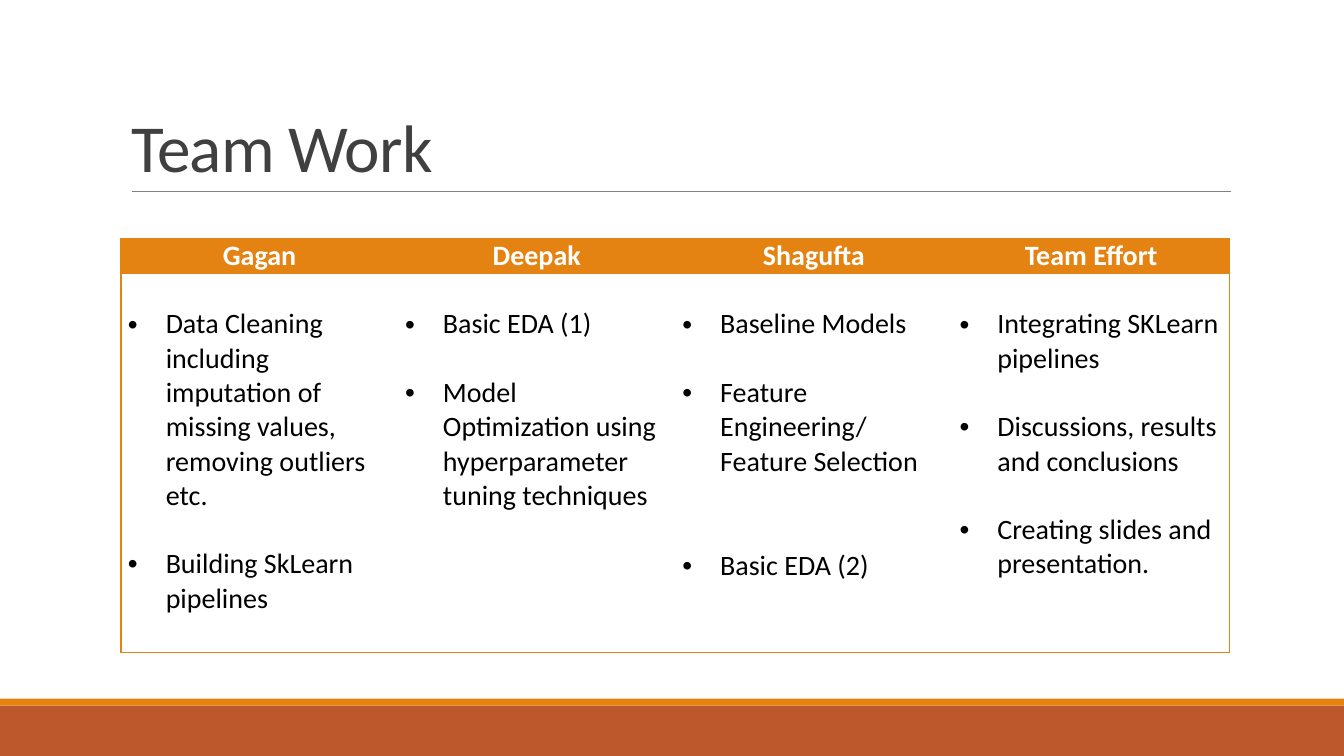
from pptx import Presentation
from pptx.dml.color import RGBColor
from pptx.enum.shapes import MSO_CONNECTOR as CONN, MSO_SHAPE as SHAPE
from pptx.enum.text import MSO_ANCHOR as ANCHOR, MSO_AUTO_SIZE as AUTO, PP_ALIGN as ALIGN
from pptx.oxml.ns import qn
from pptx.util import Pt
from lxml.etree import SubElement

FONT = "Calibri"
ORANGE, RUST, GRAY, DARK = "E48312", "BD582C", "808080", "404040"
WIDTH, HEIGHT = 960, 540
LINE = 24.4  # height of one 20 pt text line

# Each task: wording and the space above it
TEAM = {
    "Gagan": [
        ("Data Cleaning including imputation of missing values, removing outliers etc.", 0),
        ("Building SkLearn pipelines", LINE)],
    "Deepak": [
        ("Basic EDA (1)", 0),
        ("Model Optimization using hyperparameter tuning techniques", LINE)],
    "Shagufta": [
        ("Baseline Models", 0),
        ("Feature Engineering/ Feature Selection", LINE),
        ("Basic EDA (2)", 50.4)],
    "Team Effort": [
        ("Integrating SKLearn pipelines", 0),
        ("Discussions, results and conclusions", LINE),
        ("Creating slides and presentation.", LINE)],
}


def rgb(value):
    return RGBColor.from_string(value)


def add_run(p, text, size, color, bold=False):
    r = p.add_run()
    r.text = text
    r.font.name, r.font.size, r.font.bold = FONT, Pt(size), bold
    r.font.color.rgb = rgb(color)
    return r


def add_bullet(p, indent):
    pPr = p._p.get_or_add_pPr()
    pPr.set("marL", str(Pt(indent)))
    pPr.set("indent", str(-Pt(indent)))
    SubElement(pPr, qn("a:buFont"), typeface="Arial")
    SubElement(pPr, qn("a:buChar"), char="•")


def set_borders(cell, sides):
    tcPr = cell._tc.get_or_add_tcPr()
    for side in "LRTB":
        ln = SubElement(tcPr, qn("a:ln" + side), w=str(Pt(1)))
        if side in sides:
            fill = SubElement(ln, qn("a:solidFill"))
            SubElement(fill, qn("a:srgbClr"), val=ORANGE)
        else:
            SubElement(ln, qn("a:noFill"))


def add_footer(s, x, y, w, h):
    stripe = 5
    for color, top, height in ((RUST, y + stripe, h - stripe), (ORANGE, y, stripe)):
        bar = s.shapes.add_shape(SHAPE.RECTANGLE, Pt(x), Pt(top), Pt(w), Pt(height))
        bar.shadow.inherit = False
        bar.fill.solid()
        bar.fill.fore_color.rgb = rgb(color)
        bar.line.fill.background()


def add_title(s, x, y, w, h):
    # Rule under the title
    rule = s.shapes.add_connector(CONN.STRAIGHT, Pt(x + 8), Pt(y + h), Pt(x + w + 1), Pt(y + h))
    rule.line.color.rgb = rgb(GRAY)
    rule.line.width = Pt(0.5)
    SubElement(rule._element.spPr, qn("a:effectLst"))

    # Title text
    title = s.shapes.title
    title.left, title.top, title.width, title.height = Pt(x), Pt(y), Pt(w), Pt(h)
    tf = title.text_frame
    tf.auto_size, tf.word_wrap, tf.vertical_anchor = AUTO.NONE, True, ANCHOR.BOTTOM
    p = tf.paragraphs[0]
    p.alignment, p.line_spacing = ALIGN.LEFT, 0.85
    r = add_run(p, "Team Work", 48, DARK)
    r.font._element.set("spc", "-50")


def add_team_table(s, x, y, w, h):
    table = s.shapes.add_table(2, len(TEAM), Pt(x), Pt(y), Pt(w), Pt(h)).table
    table.horz_banding = False
    table.rows[0].height, table.rows[1].height = Pt(LINE), Pt(h - LINE)
    last = len(TEAM) - 1
    for i, (name, tasks) in enumerate(TEAM.items()):
        table.columns[i].width = Pt(w / len(TEAM))
        head, body = table.cell(0, i), table.cell(1, i)
        outer = ("L" if i == 0 else "") + ("R" if i == last else "")
        for cell, sides in ((head, "TB"), (body, "TB")):
            cell.margin_left = cell.margin_right = Pt(5)
            cell.margin_top = cell.margin_bottom = 0
            set_borders(cell, sides + outer)

        # Name
        head.fill.solid()
        head.fill.fore_color.rgb = rgb(ORANGE)
        p = head.text_frame.paragraphs[0]
        p.alignment = ALIGN.CENTER
        add_run(p, name, 20, "FFFFFF", bold=True)

        # Tasks
        body.fill.background()
        body.margin_top = Pt(LINE)
        tf = body.text_frame
        for n, (task, gap) in enumerate(tasks):
            p = tf.add_paragraph() if n else tf.paragraphs[0]
            p.space_before = Pt(gap)
            add_bullet(p, 27)
            add_run(p, task, 20, "000000")


prs = Presentation()
prs.slide_width, prs.slide_height = Pt(WIDTH), Pt(HEIGHT)
s = prs.slides.add_slide(prs.slide_layouts[5])
add_footer(s, 0, 499, WIDTH, 41)
add_title(s, 86.4, 22.5, 792, 114)
add_team_table(s, 86.4, 170.6, 792, 295.4)
prs.save("out.pptx")
